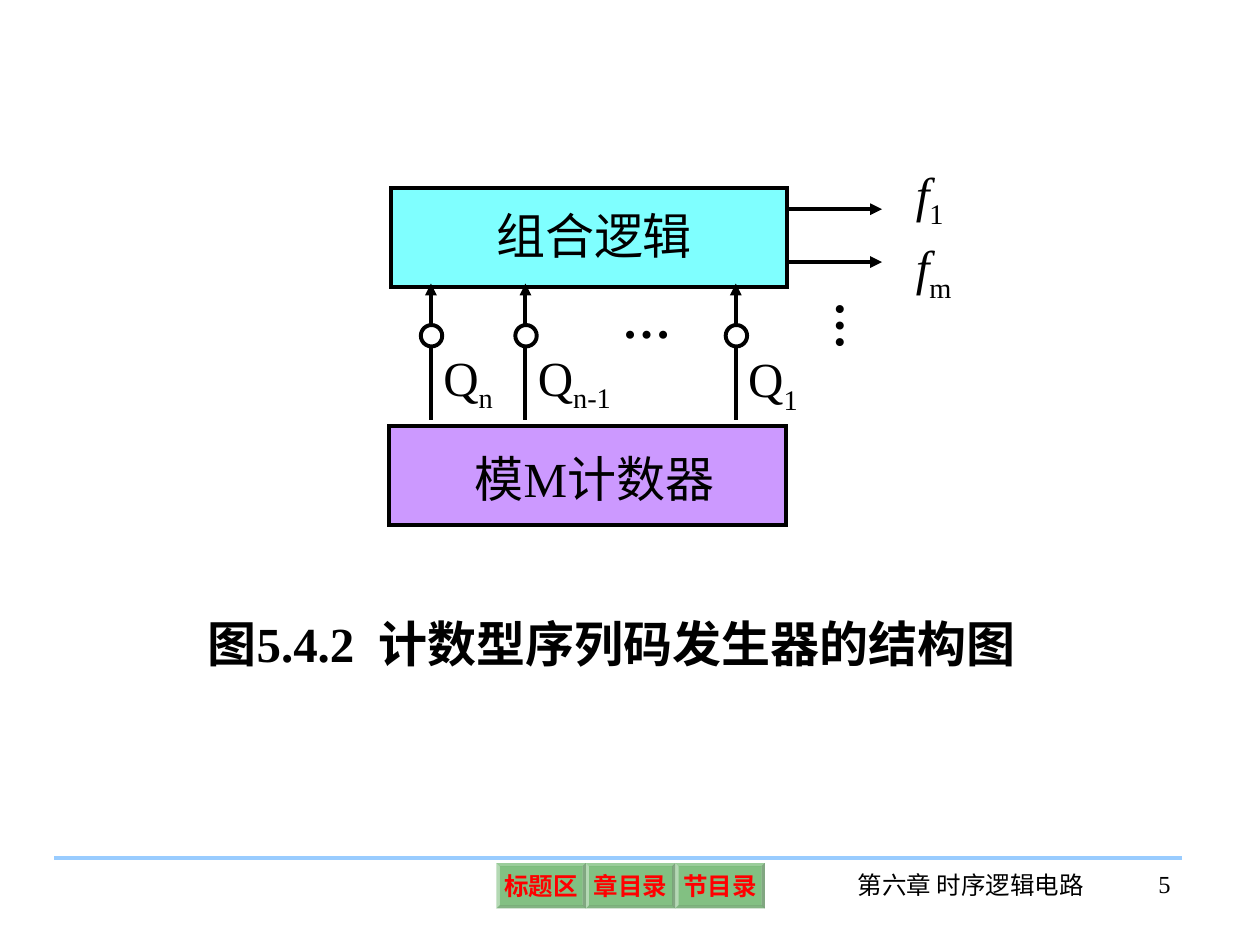
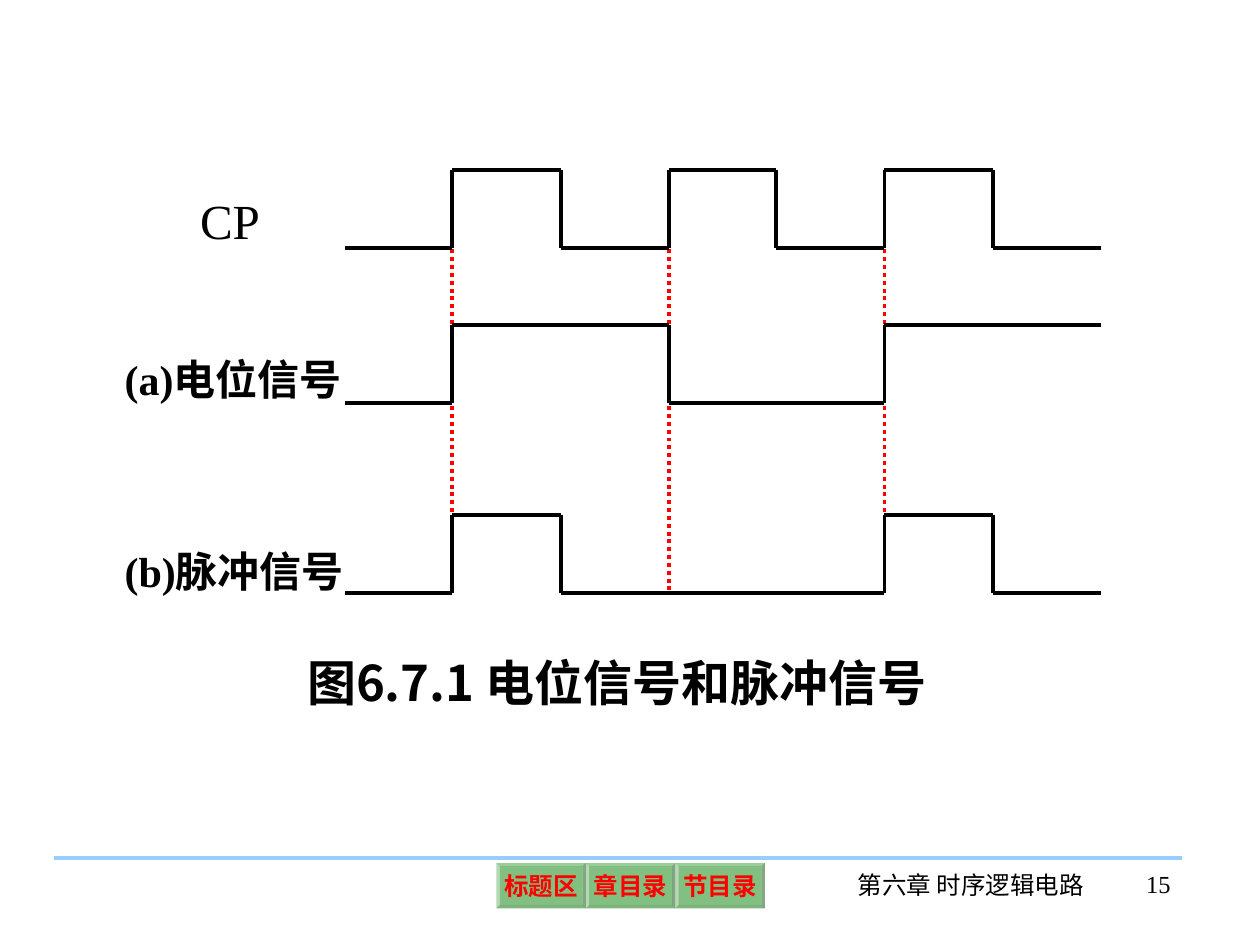
from lxml.etree import SubElement
from pptx import Presentation
from pptx.dml.color import RGBColor
from pptx.enum.dml import MSO_LINE
from pptx.enum.shapes import MSO_CONNECTOR, MSO_SHAPE
from pptx.enum.text import MSO_ANCHOR, PP_ALIGN
from pptx.oxml.ns import qn
from pptx.util import Pt

PX = 9144  # one px is a hundredth of an inch
BLACK = RGBColor(0x00, 0x00, 0x00)
WHITE = RGBColor(0xFF, 0xFF, 0xFF)
RED = RGBColor(0xFF, 0x00, 0x00)
GREEN = RGBColor(0x00, 0x80, 0x00)
CYAN = RGBColor(0x00, 0xFF, 0xFF)
VIOLET = RGBColor(0xCC, 0x99, 0xFF)
SKY = RGBColor(0x99, 0xCC, 0xFF)
SERIF = "Times New Roman"
SANS = "Noto Sans CJK SC"
LINE_WIDTH = Pt(2.25)


def write(box, runs, size=28, before=0, align=PP_ALIGN.LEFT, color=BLACK,
          bold=False, font=SERIF):
    """Fill box with one paragraph; runs are (text, extra run attributes)."""
    box.text_frame.word_wrap = True
    para = box.text_frame.paragraphs[0]
    para.alignment = align
    para.space_before = Pt(before)
    for text, attributes in runs:
        span = para.add_run()
        span.text = text
        span.font.size = Pt(size)
        span.font.bold = bold
        span.font.color.rgb = color
        span.font.name = font
        properties = span.font._element
        SubElement(properties, qn("a:ea")).set("typeface", SANS)
        for name, value in attributes.items():
            properties.set(name, value)


def draw_line(page, x1, y1, x2, y2, color=BLACK, dash=None, arrow=False):
    line = page.shapes.add_connector(
        MSO_CONNECTOR.STRAIGHT, x1 * PX, y1 * PX, x2 * PX, y2 * PX)
    line.line.color.rgb = color
    line.line.width = LINE_WIDTH
    if dash:
        line.line.dash_style = dash
    if arrow:
        SubElement(line.line._get_or_add_ln(), qn("a:tailEnd")).set("type", "triangle")
    SubElement(line._element.spPr, qn("a:effectLst"))


deck = Presentation()
deck.slide_width, deck.slide_height = 1000 * PX, 750 * PX

# Shared footer
pages = []
for number in ("5", "15"):
    page = deck.slides.add_slide(deck.slide_layouts[6])
    pages.append(page)
    draw_line(page, 43, 681, 938, 681, SKY)
    for index, label in enumerate(("标题区", "章目录", "节目录")):
        button = page.shapes.add_shape(
            MSO_SHAPE.BEVEL, (394 + 71 * index) * PX, 685 * PX, 71 * PX, 36 * PX)
        button.adjustments[0] = 0.07
        button.shadow.inherit = False
        button.line.fill.background()
        button.fill.solid()
        button.fill.fore_color.rgb = GREEN
        tint = button._element.spPr.find(".//" + qn("a:srgbClr"))
        SubElement(tint, qn("a:alpha")).set("val", "49000")
        write(button, [(label, {})], 14, 8.8, PP_ALIGN.CENTER, RED, True)
        frame = button.text_frame
        frame.word_wrap = False
        frame.vertical_anchor = MSO_ANCHOR.MIDDLE
        frame.margin_left = frame.margin_right = 4 * PX
        frame.margin_top = frame.margin_bottom = 4 * PX
    chapter = page.shapes.add_textbox(666 * PX, 686 * PX, 209 * PX, 50 * PX)
    write(chapter, [("第六章 时序逻辑电路", {})], 14, align=PP_ALIGN.CENTER)
    page_number = page.shapes.add_textbox(853 * PX, 685 * PX, 86 * PX, 50 * PX)
    write(page_number, [(number, {})], 14, align=PP_ALIGN.RIGHT)

structure, waveforms = pages

# Structure of the counter-type sequence generator
for left, top, color, alpha in ((310, 149, CYAN, "50000"), (309, 338, VIOLET, None)):
    block = structure.shapes.add_shape(
        MSO_SHAPE.RECTANGLE, left * PX, top * PX, 315 * PX, 79 * PX)
    block.shadow.inherit = False
    block.fill.solid()
    block.fill.fore_color.rgb = color
    block.line.color.rgb = BLACK
    block.line.width = LINE_WIDTH
    SubElement(block.line._get_or_add_ln(), qn("a:miter")).set("lim", "800000")
    if alpha:
        tint = block._element.spPr.find(".//" + qn("a:srgbClr"))
        SubElement(tint, qn("a:alpha")).set("val", alpha)

for y in (166, 208):
    draw_line(structure, 625, y, 700, y, arrow=True)
for x in (342, 417, 584):
    draw_line(structure, x, 333, x, 225, arrow=True)
    node = structure.shapes.add_shape(
        MSO_SHAPE.OVAL, (x - 8) * PX, 258 * PX, 17 * PX, 17 * PX)
    node.shadow.inherit = False
    node.fill.solid()
    node.fill.fore_color.rgb = WHITE
    node.line.color.rgb = BLACK
    node.line.width = LINE_WIDTH

ITALIC = {"i": "1"}
SUBSCRIPT = {"baseline": "-25000"}
for left, top, width, height, runs in (
    (384, 158, 283, 57, [("组合逻辑", {})]),
    (367, 351, 342, 57, [("模M计数器", {})]),
    (717, 125, 133, 63, [("f", ITALIC), ("1", SUBSCRIPT)]),
    (717, 183, 133, 63, [("f", ITALIC), ("m", SUBSCRIPT)]),
    (342, 271, 79, 63, [("Q", {}), ("n", SUBSCRIPT)]),
    (417, 271, 84, 63, [("Q", {}), ("n-1", SUBSCRIPT)]),
    (584, 272, 73, 63, [("Q", {}), ("1", SUBSCRIPT)]),
):
    label = structure.shapes.add_textbox(left * PX, top * PX, width * PX, height * PX)
    write(label, runs, before=17.5)

more_inputs = structure.shapes.add_textbox(484 * PX, 225 * PX, 83 * PX, 57 * PX)
more_outputs = structure.shapes.add_textbox(642 * PX, 229 * PX, 66 * PX, 60 * PX)
for dots in (more_inputs, more_outputs):
    write(dots, [("…", {})], before=17.5, bold=True)
frame = more_outputs.text_frame
frame._txBody.bodyPr.set("vert", "eaVert")
frame.margin_left = frame.margin_right = 5 * PX
frame.margin_top = frame.margin_bottom = 10 * PX

caption = structure.shapes.add_textbox(155 * PX, 482 * PX, 689 * PX, 57 * PX)
write(caption, [("图5.4.2", {}), (" ", {"spc": "700"}),
                ("计数型序列码发生器的结构图", {})], bold=True)

# Level signal and pulse signal against the clock
edges = [274 + 600 * step // 7 for step in range(8)]
for x in edges[1:6:2]:
    draw_line(waveforms, x, 198, x, 471, RED, MSO_LINE.ROUND_DOT)

for name, levels, low, left, top, width, height, size, before, bold in (
    ("CP", "0101010", 197, 149, 146, 87, 57, 28, 17.5, False),
    ("(a)电位信号", "0110011", 320, 89, 276, 198, 90, 24, 15, True),
    ("(b)脉冲信号", "0100010", 471, 89, 428, 199, 90, 24, 15, True),
):
    high = low - 62
    heights = [high if level == "1" else low for level in levels]
    for step, y in enumerate(heights):
        draw_line(waveforms, edges[step], y, edges[step + 1], y)
        if step and y != heights[step - 1]:
            draw_line(waveforms, edges[step], low, edges[step], high)
    label = waveforms.shapes.add_textbox(left * PX, top * PX, width * PX, height * PX)
    write(label, [(name, {})], size, before, bold=bold)

caption = waveforms.shapes.add_textbox(234 * PX, 513 * PX, 530 * PX, 57 * PX)
write(caption, [("图6.7.1 电位信号和脉冲信号", {})], bold=True, font=SANS)

deck.save("out.pptx")
